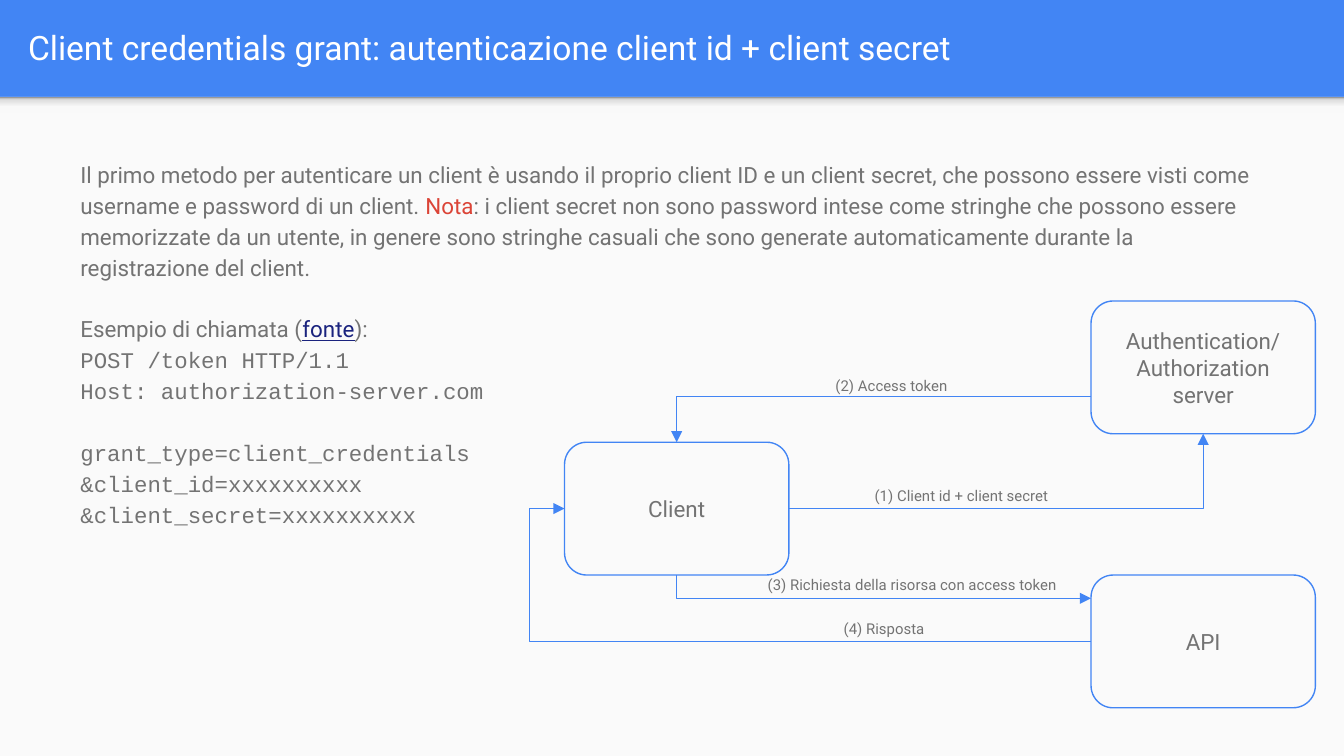
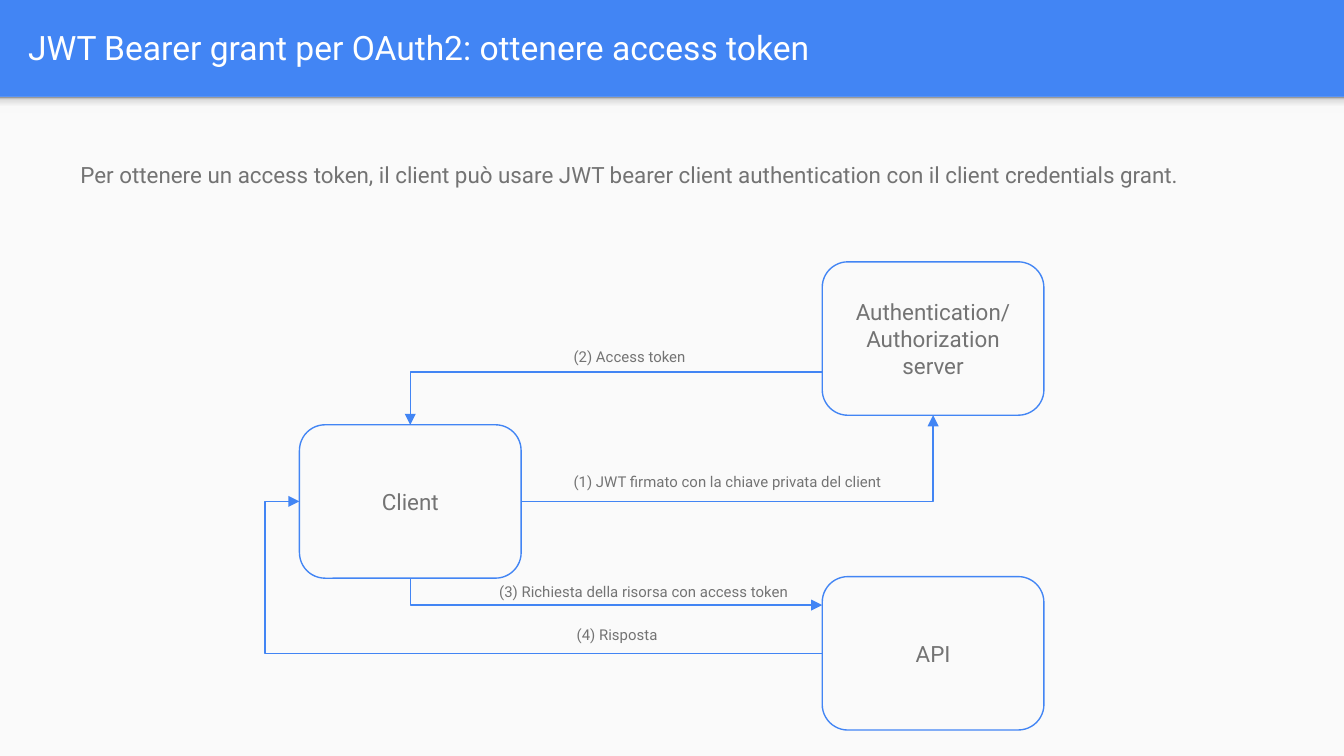
from copy import deepcopy

from pptx import Presentation
from pptx import util as u
from pptx.dml import color
from pptx.enum import shapes, text
from pptx.oxml import ns, xmlchemy as xc

BLUE, PAPER, GREY = "4285F4", "FAFAFA", "737373"
RED, NAVY, WHITE = "DB4437", "1A237E", "FFFFFF"
SANS, MONO = "Roboto", "Courier New"
WIDE, HIGH, HEAD = 25.4, 14.29, 1.83
SHADE = [(0, "F9F9F9"), (0.36, "F9F9F9"), (0.8, "DEDEDE"), (1, "999999")]
LEFT, MID = text.PP_ALIGN.LEFT, text.PP_ALIGN.CENTER
SHAPE = shapes.MSO_SHAPE


def cm(*sizes):
    return [u.Cm(size) for size in sizes]


def rgb(code):
    return color.RGBColor.from_string(code)


def style(run, size, tint=GREY, face=SANS):
    run.font.size = u.Pt(size)
    run.font.name = face
    run.font.color.rgb = rgb(tint)


def frame(shape, anchor=text.MSO_ANCHOR.TOP):
    tf = shape.text_frame
    tf.word_wrap = True
    tf.auto_size = text.MSO_AUTO_SIZE.NONE
    tf.vertical_anchor = anchor
    tf.margin_left = tf.margin_right = u.Cm(0.25)
    tf.margin_top = tf.margin_bottom = u.Cm(0.25)
    return tf


def write(tf, words, size, align, tint=GREY):
    tf.text = words
    for par in tf.paragraphs:
        par.alignment = align
        for run in par.runs:
            style(run, size, tint)


def plain(slide, kind, box):
    shape = slide.shapes.add_shape(kind, *cm(*box))
    shape.shadow.inherit = False
    return shape


def page(deck, words):
    slide = deck.slides.add_slide(deck.slide_layouts[5])
    panel = plain(slide, SHAPE.RECTANGLE, (0, HEAD, WIDE, HIGH - HEAD))
    panel.fill.solid()
    panel.fill.fore_color.rgb = rgb(PAPER)
    panel.line.fill.background()
    shade = plain(slide, SHAPE.RECTANGLE, (0, HEAD, WIDE, 0.3))
    shade.line.fill.background()
    shade.fill.gradient()
    shade.fill.gradient_angle = 90
    stops = shade._element.spPr.find(".//" + ns.qn("a:gsLst"))
    for stop in list(stops):
        stops.append(deepcopy(stop))
    for stop, (place, tint) in zip(shade.fill.gradient_stops, SHADE):
        stop.position = place
        stop.color.rgb = rgb(tint)
    title = slide.shapes.title
    title.left, title.top, title.width, title.height = cm(0.28, 0.05, 24.51, 1.68)
    write(frame(title, text.MSO_ANCHOR.MIDDLE), words, 18, LEFT, WHITE)
    return slide


def body(slide, high, rows):
    tf = frame(slide.shapes.add_textbox(*cm(1.27, 2.72, 22.83, high)))
    for i, (parts, face, gap) in enumerate(rows):
        par = tf.paragraphs[0] if i == 0 else tf.add_paragraph()
        par.line_spacing = 1.15
        par.space_before = u.Pt(gap)
        for words, tint in parts:
            run = par.add_run()
            run.text = words
            style(run, 12, tint, face)
            if tint == NAVY:
                run.font.underline = True


def node(slide, words, box):
    shape = plain(slide, SHAPE.ROUNDED_RECTANGLE, box)
    shape.adjustments[0] = 0.167
    shape.fill.background()
    shape.line.color.rgb = rgb(BLUE)
    shape.line.width = u.Pt(0.75)
    write(frame(shape, text.MSO_ANCHOR.MIDDLE), words, 12, MID)


def label(slide, words, x, y, wide, align):
    box = slide.shapes.add_textbox(*cm(x, y, wide, 0.86))
    write(frame(box), words, 8, align)


def arrow(slide, start, end, kind="bentConnector2"):
    link = slide.shapes.add_connector(
        shapes.MSO_CONNECTOR.ELBOW, *cm(*start, *end))
    link.line.color.rgb = rgb(BLUE)
    link.line.width = u.Pt(0.75)
    props = link._element.spPr
    props.find(ns.qn("a:prstGeom")).set("prst", kind)
    tail = xc.OxmlElement("a:tailEnd")
    tail.set("type", "triangle")
    props.find(ns.qn("a:ln")).append(tail)
    props.append(xc.OxmlElement("a:effectLst"))
    return props


def drop(slide, start, end):
    x, y = (start[0] + end[0]) / 2, (start[1] + end[1]) / 2
    dx, dy = (end[0] - start[0]) / 2, (end[1] - start[1]) / 2
    props = arrow(slide, (x + dy, y - dx), (x - dy, y + dx))
    props.find(ns.qn("a:xfrm")).set("rot", "16200000")


def loop(slide, start, end):
    props = arrow(slide, start, end, "bentConnector3")
    geom = props.find(ns.qn("a:prstGeom"))
    guides = geom.find(ns.qn("a:avLst"))
    if guides is None:
        guides = xc.OxmlElement("a:avLst")
        geom.append(guides)
    guide = xc.OxmlElement("a:gd")
    guide.set("name", "adj1")
    guide.set("fmla", "val 106600")
    guides.append(guide)


def flow(slide, near, far, wide, high, tops, labels):
    auth, client, api = tops
    node(slide, "Authentication/\nAuthorization server", (far, auth, wide, high))
    node(slide, "Client", (near, client, wide, high))
    node(slide, "API", (far, api, wide, high))
    axis, half = near + wide / 2, high / 2
    arrow(slide, (near + wide, client + half), (far + wide / 2, auth + high))
    arrow(slide, (far, client - 0.345 * high), (axis, client))
    drop(slide, (axis, client + high), (far, client + 1.175 * high))
    loop(slide, (far, api + half), (near, client + half))
    for item in labels:
        label(slide, *item)


def main():
    deck = Presentation()
    deck.slide_width, deck.slide_height = cm(WIDE, HIGH)
    back = deck.slide_master.background.fill
    back.solid()
    back.fore_color.rgb = rgb(BLUE)
    token = "(2) Access token"
    ask = "(3) Richiesta della risorsa con access token"
    reply = "(4) Risposta"

    slide = page(deck, "Client credentials grant: autenticazione client id + client secret")
    body(slide, 10.5, [
        ([("Il primo metodo per autenticare un client è usando il proprio client ID "
           "e un client secret, che possono essere visti come username e password "
           "di un client. ", GREY),
          ("Nota", RED),
          (": i client secret non sono password intese come stringhe che possono "
           "essere memorizzate da un utente, in genere sono stringhe casuali che "
           "sono generate automaticamente durante la registrazione del client.",
           GREY)], SANS, 0),
        ([("Esempio di chiamata (", GREY), ("fonte", NAVY), ("):", GREY)], SANS, 16.5),
        ([("POST /token HTTP/1.1", GREY)], MONO, 0),
        ([("Host: authorization-server.com", GREY)], MONO, 0),
        ([("grant_type=client_credentials", GREY)], MONO, 16.5),
        ([("&client_id=xxxxxxxxxx", GREY)], MONO, 0),
        ([("&client_secret=xxxxxxxxxx", GREY)], MONO, 0),
    ])
    flow(slide, 10.67, 20.62, 4.24, 2.51, (5.69, 8.36, 10.87), [
        ("(1) Client id + client secret", 16.28, 8.94, 4.7, LEFT),
        (ask, 13.84, 10.64, 6.81, MID),
        (reply, 13, 11.46, 7.42, MID),
        (token, 15.54, 6.86, 3.33, LEFT),
    ])

    slide = page(deck, "JWT Bearer grant per OAuth2: ottenere access token")
    body(slide, 1.3, [
        ([("Per ottenere un access token, il client può usare JWT bearer client "
           "authentication con il client credentials grant.", GREY)], SANS, 0),
    ])
    flow(slide, 5.66, 15.54, 4.19, 2.9, (4.95, 8.03, 10.9), [
        ("(1) JWT firmato con la chiave privata del client", 10.59, 8.69, 6.53, LEFT),
        (ask, 8.79, 10.77, 6.76, MID),
        (reply, 7.98, 11.58, 7.37, MID),
        (token, 10.59, 6.32, 2.9, LEFT),
    ])
    deck.save("out.pptx")


if __name__ == "__main__":
    main()
